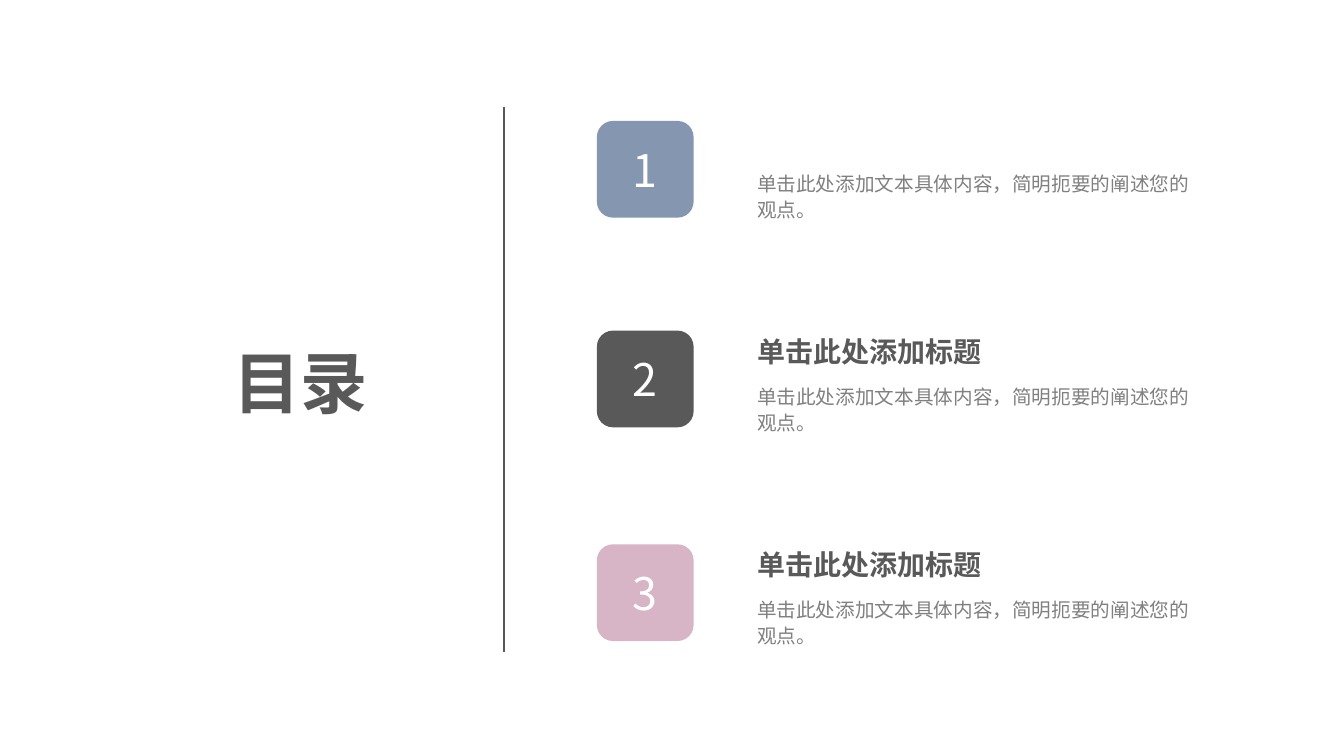
import pptx
import pptx.util
import pptx.dml.color
import pptx.enum.shapes
import pptx.enum.text
import pptx.oxml.ns
from lxml import etree

# Content
AGENDA = "目录"
TOPIC = "单击此处添加标题"
DETAIL = "单击此处添加文本具体内容，简明扼要的阐述您的观点。"
# number, badge colour, badge top, topic, topic top, detail top
ENTRIES = [
    ("1", "blue", 120, None, None, 163),
    ("2", "ink", 328, TOPIC, 330, 375),
    ("3", "pink", 540, TOPIC, 541, 586),
]

# Theme
THEME = {
    "font": "Noto Sans CJK SC",
    "colors": {"ink": "595959", "blue": "8496B0", "pink": "D7B5C6",
               "grey": "808080", "white": "FFFFFF"},
    "agenda": {"size": 48, "bold": True, "color": "ink"},
    "badge": {"size": 32, "bold": False, "color": "white"},
    "topic": {"size": 20, "bold": True, "color": "ink"},
    "detail": {"size": 14, "bold": False, "color": "grey"},
}

# Layout in px, 100 px to the inch
BADGE_LEFT, BADGE_SIZE = 592, 96
COPY_LEFT, COPY_WIDTH = 741, 459
TOPIC_HEIGHT, DETAIL_HEIGHT = 40, 76
DIVIDER_X, DIVIDER_TOP, DIVIDER_BOTTOM = 500, 106, 647

ALIGN = pptx.enum.text.PP_ALIGN
ANCHOR = pptx.enum.text.MSO_ANCHOR
SHAPES = pptx.enum.shapes.MSO_SHAPE


def px(length):
    return pptx.util.Emu(length * 9144)


def color(name):
    return pptx.dml.color.RGBColor.from_string(THEME["colors"][name])


def write(holder, text, style, align=ALIGN.LEFT, anchor=ANCHOR.TOP, spacing=None):
    frame = holder.text_frame
    for name, value in {"word_wrap": True, "vertical_anchor": anchor}.items():
        setattr(frame, name, value)
    paragraph = frame.paragraphs[0]
    for name, value in {"alignment": align, "line_spacing": spacing}.items():
        setattr(paragraph, name, value)
    run = paragraph.add_run()
    run.text = text
    look = THEME[style]
    font_values = {"name": THEME["font"], "bold": look["bold"],
                   "size": pptx.util.Pt(look["size"])}
    for name, value in font_values.items():
        setattr(run.font, name, value)
    run.font.color.rgb = color(look["color"])
    # East Asian typeface follows the latin one
    latin = run.font._element.find(pptx.oxml.ns.qn("a:latin"))
    east_asian = etree.Element(pptx.oxml.ns.qn("a:ea"), typeface=THEME["font"])
    latin.addnext(east_asian)


def add_divider(shapes):
    divider = shapes.add_connector(
        pptx.enum.shapes.MSO_CONNECTOR.STRAIGHT,
        px(DIVIDER_X), px(DIVIDER_TOP), px(DIVIDER_X), px(DIVIDER_BOTTOM))
    divider.line.color.rgb = color("ink")
    divider.line.width = pptx.util.Pt(1.25)
    etree.SubElement(divider._element.spPr, pptx.oxml.ns.qn("a:effectLst"))


def add_badge(shapes, number, fill, top):
    badge = shapes.add_shape(SHAPES.ROUNDED_RECTANGLE, px(BADGE_LEFT), px(top),
                             px(BADGE_SIZE), px(BADGE_SIZE))
    badge.shadow.inherit = False
    badge.fill.solid()
    badge.fill.fore_color.rgb = color(fill)
    badge.line.fill.background()
    margins = {"margin_left": 13, "margin_right": 13, "margin_top": 7, "margin_bottom": 7}
    for name, value in margins.items():
        setattr(badge.text_frame, name, px(value))
    write(badge, number, "badge", ALIGN.CENTER, ANCHOR.MIDDLE)


def add_copy(shapes, top, height):
    return shapes.add_textbox(px(COPY_LEFT), px(top), px(COPY_WIDTH), px(height))


def main():
    deck = pptx.Presentation()
    deck.slide_width, deck.slide_height = px(1333), px(750)
    slide = deck.slides.add_slide(deck.slide_layouts[6])

    # Divider and agenda heading
    add_divider(slide.shapes)
    agenda = slide.shapes.add_textbox(px(63), px(334), px(471), px(91))
    write(agenda, AGENDA, "agenda", ALIGN.CENTER)

    # One group per agenda entry
    for number, fill, badge_top, topic, topic_top, detail_top in ENTRIES:
        entry = slide.shapes.add_group_shape().shapes
        add_badge(entry, number, fill, badge_top)
        if topic:
            write(add_copy(entry, topic_top, TOPIC_HEIGHT), topic, "topic",
                  anchor=ANCHOR.BOTTOM)
        write(add_copy(entry, detail_top, DETAIL_HEIGHT), DETAIL, "detail", spacing=1.1)

    deck.save("out.pptx")


if __name__ == "__main__":
    main()
